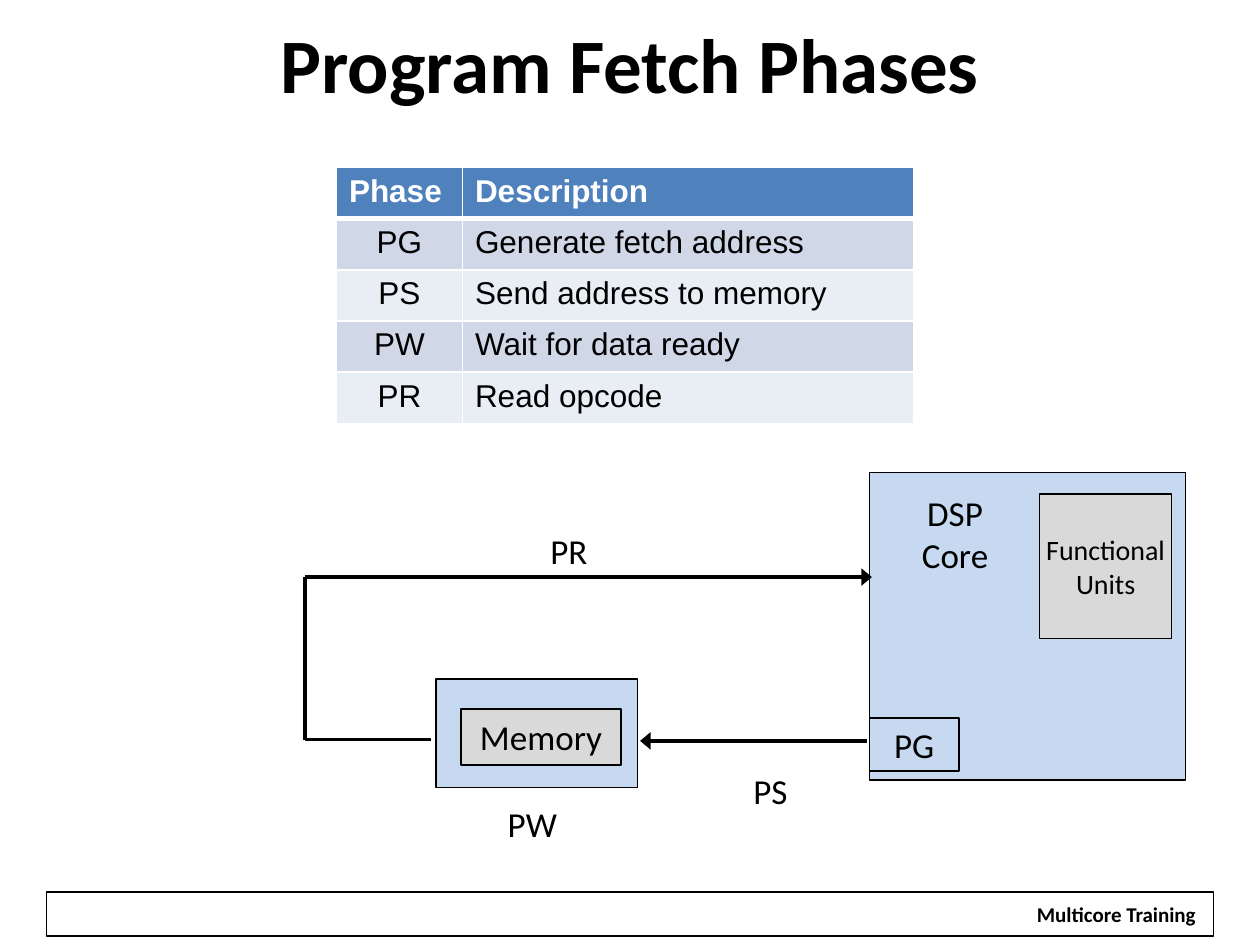
from lxml import etree
from pptx import Presentation
from pptx import util as u
from pptx.dml.color import RGBColor
from pptx.enum import shapes, text
from pptx.oxml import ns

COLORS = {
    "black": "000000", "white": "FFFFFF", "blue": "C6D9F1", "grey": "D9D9D9",
    "header": "4F81BD", "band_dark": "D0D8E8", "band_light": "E9EDF4",
}
ALIGN = {"l": text.PP_ALIGN.LEFT, "c": text.PP_ALIGN.CENTER}
ANCHOR = {"t": text.MSO_ANCHOR.TOP, "m": text.MSO_ANCHOR.MIDDLE}


def rgb(name):
    return RGBColor.from_string(COLORS[name])


def sub(parent, tag, **attrs):
    return etree.SubElement(parent, ns.qn(tag), **attrs)


def write(tf, content, size=20, font="Calibri", color="black", bold=False,
          align="c", anchor="t", wrap=True, inset=(0.1, 0.05)):
    """Fill a text frame: newlines split paragraphs, \\v breaks a line."""
    tf.word_wrap = wrap
    tf.vertical_anchor = ANCHOR[anchor]
    tf.margin_left = tf.margin_right = u.Inches(inset[0])
    tf.margin_top = tf.margin_bottom = u.Inches(inset[1])
    for i, line in enumerate(content.split("\n")):
        p = tf.add_paragraph() if i else tf.paragraphs[0]
        p.text = line
        p.alignment = ALIGN[align]
        for r in p.runs:
            r.font.size = u.Pt(size)
            r.font.name = font
            r.font.bold = bold
            r.font.color.rgb = rgb(color)


class Slide:
    def __init__(self, prs):
        self.s = prs.slides.add_slide(prs.slide_layouts[6])

    def label(self, at, content, **fmt):
        sp = self.s.shapes.add_textbox(*map(u.Inches, at))
        write(sp.text_frame, content, **fmt)

    def box(self, at, content="", fill=None, line=None, **fmt):
        sp = self.s.shapes.add_shape(shapes.MSO_SHAPE.RECTANGLE, *map(u.Inches, at))
        sp.shadow.inherit = False
        if fill:
            sp.fill.solid()
            sp.fill.fore_color.rgb = rgb(fill)
        else:
            sp.fill.background()
        if line:
            sp.line.color.rgb = rgb("black")
            sp.line.width = u.Pt(line)
        else:
            sp.line.fill.background()
        if content:
            write(sp.text_frame, content, **fmt)

    def line(self, start, end, arrow=False):
        c = self.s.shapes.add_connector(
            shapes.MSO_CONNECTOR.STRAIGHT, *map(u.Inches, (*start, *end)))
        c.line.color.rgb = rgb("black")
        c.line.width = u.Pt(2)
        if arrow:
            sub(c.line._get_or_add_ln(), "a:tailEnd", type="triangle", w="lg")
        sub(c._element.spPr, "a:effectLst")

    def table(self, at, widths, rows):
        frame = self.s.shapes.add_table(len(rows), len(widths), *map(u.Inches, at))
        t = frame.table
        for col, width in zip(t.columns, widths):
            col.width = u.Inches(width)
        for i, row in enumerate(rows):
            header = i == 0
            fill = "header" if header else ("band_dark" if i % 2 else "band_light")
            for j, content in enumerate(row):
                cell = t.cell(i, j)
                self.borders(cell, top=3 if i == 1 else 1, bottom=3 if header else 1)
                cell.fill.solid()
                cell.fill.fore_color.rgb = rgb(fill)
                write(cell.text_frame, content, size=18, font="Arial", bold=header,
                      color="white" if header else "black",
                      align="l" if header or j else "c")

    def borders(self, cell, top, bottom):
        tc_pr = cell._tc.get_or_add_tcPr()
        for side, width in zip("LRTB", (1, 1, top, bottom)):
            ln = sub(tc_pr, f"a:ln{side}", w=str(u.Pt(width)))
            sub(sub(ln, "a:solidFill"), "a:srgbClr", val=COLORS["white"])


def main():
    prs = Presentation()
    prs.slide_width, prs.slide_height = u.Inches(10), u.Inches(7.5)
    s = Slide(prs)
    tight = (0.09, 0.04)

    # Footer and title
    s.box((0.37, 7.08, 9.26, 0.35), line=0.75)
    s.box((8.12, 7.11, 1.48, 0.3), "Multicore Training", fill="white",
          size=12, bold=True, wrap=False)
    s.label((0.5, 0.08, 9, 0.83), "Program Fetch Phases", size=44, bold=True, anchor="m")

    # Core with its functional units and program generator
    s.box((6.9, 3.75, 2.51, 2.44), fill="blue", line=1)
    s.box((7.01, 3.85, 1.14, 0.81), "DSP\vCore", fill="blue")
    s.box((8.25, 3.92, 1.05, 1.15), "Functional\nUnits", fill="grey", line=0.75,
          size=16, anchor="m", wrap=False)
    s.box((6.9, 5.7, 0.71, 0.42), "PG", line=1, inset=tight)

    # Memory
    s.box((3.46, 5.39, 1.6, 0.86), fill="blue", line=1)
    s.box((3.66, 5.63, 1.27, 0.44), "Memory", fill="grey", line=1)

    # Phase labels
    for name, x, y in (("PW", 3.9, 6.33), ("PS", 5.79, 6.07), ("PR", 4.19, 4.16)):
        s.label((x, y, 0.65, 0.42), name, inset=tight)

    # Address to memory, then opcode back to the core
    s.line((6.88, 5.88), (5.08, 5.88), arrow=True)
    route = [(3.42, 5.87), (2.42, 5.87), (2.42, 4.58), (6.92, 4.58)]
    for start, end in zip(route, route[1:]):
        s.line(start, end, arrow=end == route[-1])

    # Phase table
    s.table((2.67, 1.33, 4.58, 2.03), (1, 3.58), [
        ("Phase", "Description"),
        ("PG", "Generate fetch address"),
        ("PS", "Send address to memory"),
        ("PW", "Wait for data ready"),
        ("PR", "Read opcode"),
    ])

    prs.save("out.pptx")


if __name__ == "__main__":
    main()
